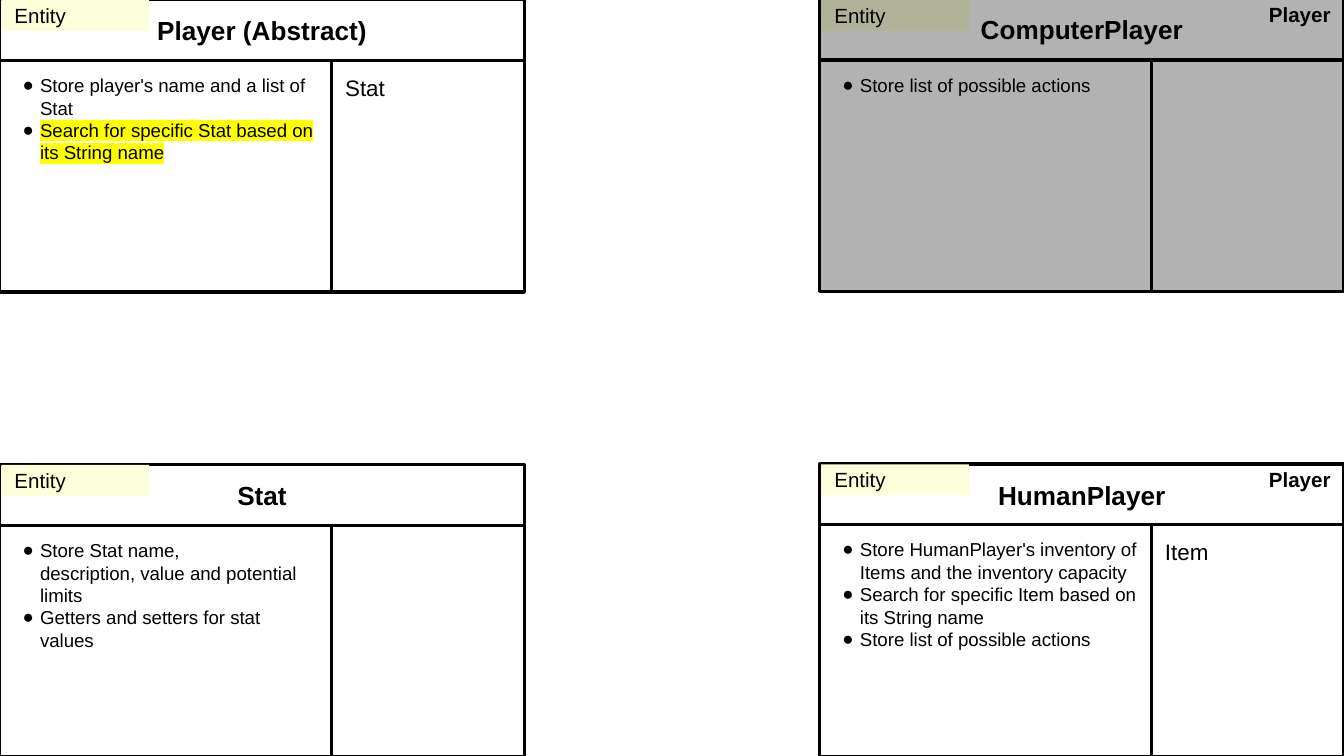
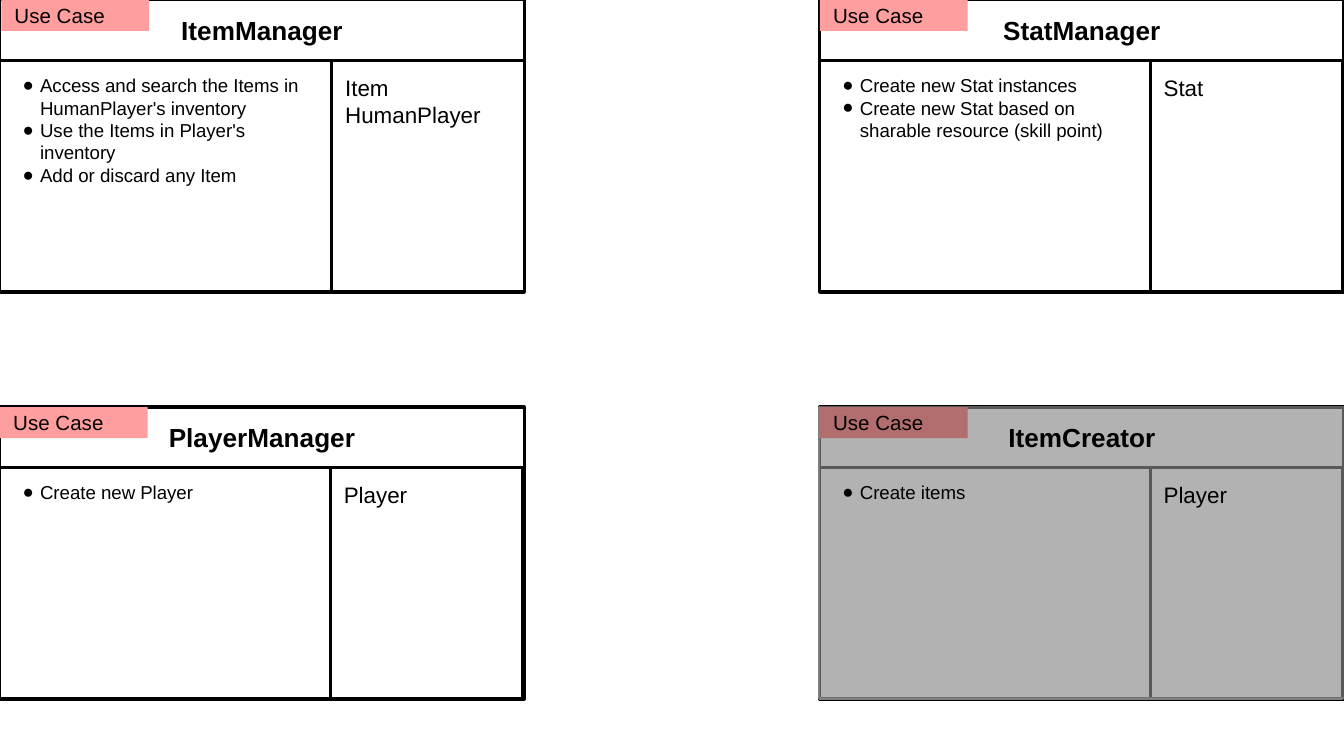
from lxml.etree import SubElement
from pptx import Presentation
from pptx.dml.color import RGBColor
from pptx.enum.shapes import MSO_SHAPE as Preset
from pptx.enum.text import MSO_ANCHOR as Anchor, PP_ALIGN as Align
from pptx.oxml.ns import qn
from pptx.util import Inches, Pt

COLOURS = {
    "paper": "FFFFFF",
    "ink": "000000",
    "muted": "808080",
    "marker": "FFFF00",
    "Entity": "FCFFD9",
    "Use Case": "FF9E9E",
}
FONT = "Arial"
NO_BREAK = chr(160)

SLIDE_W = 10
SLIDE_H = SLIDE_W * 9 / 16
CARD_W, CARD_H = 3.9, 2.17
HEAD_H = 0.45
DUTIES_W, PARTNERS_W = 2.46, 1.43
TAG_W, TAG_H = 1.1, 0.23
MARGIN = 0.1
RIGHT = SLIDE_W - CARD_W
BOTTOM = SLIDE_H - CARD_H

# Cards of class, responsibilities and collaborators, by slide.
# "at" is the left top corner; "veil" is the corner of the shade over a dropped class;
# "inset" moves the tag and the partners column to the right.
SLIDES = [
    ("Entity", [
        {"at": (0, 0), "name": "Player (Abstract)", "inset": 0.01,
         "duties": ["Store player's name and a list of Stat",
                    "Search for specific Stat based on its String name"],
         "marked": 1,
         "partners": ["Stat"]},
        {"at": (0, 3.46), "name": "Stat", "inset": 0.01,
         "duties": [f"Store Stat name, description,{NO_BREAK}value and potential limits",
                    "Getters and setters for stat values"]},
        {"at": (RIGHT, BOTTOM), "name": "HumanPlayer", "parent": "Player", "inset": 0.01,
         "duties": ["Store HumanPlayer's inventory of Items and the inventory capacity",
                    "Search for specific Item based on its String name",
                    "Store list of possible actions"],
         "partners": ["Item"]},
        {"at": (RIGHT, -0.01), "name": "ComputerPlayer", "parent": "Player", "inset": 0.01,
         "duties": ["Store list of possible actions"],
         "veil": (RIGHT + 0.01, 0)},
    ]),
    ("Use Case", [
        {"at": (0, 0), "name": "ItemManager", "inset": 0.01,
         "duties": ["Access and search the Items in HumanPlayer's inventory",
                    "Use the Items in Player's inventory",
                    "Add or discard any Item"],
         "partners": ["Item", "HumanPlayer"]},
        {"at": (RIGHT, 0), "name": "StatManager",
         "duties": ["Create new Stat instances",
                    "Create new Stat based on sharable resource (skill point)"],
         "partners": ["Stat"]},
        {"at": (0, 3.03), "name": "PlayerManager",
         "duties": ["Create new Player"],
         "partners": ["Player"]},
        {"at": (RIGHT, 3.03), "name": "ItemCreator", "edge": "muted",
         "duties": ["Create items"],
         "partners": ["Player"],
         "veil": (RIGHT, 3.02)},
    ]),
]


def rgb(name):
    return RGBColor.from_string(COLOURS[name])


def add_box(parent, left, top, width, height, fill, edge=None, weight=1.5):
    box = parent.shapes.add_shape(
        Preset.RECTANGLE, *(Inches(v) for v in (left, top, width, height)))
    box.shadow.inherit = False
    box.fill.solid()
    box.fill.fore_color.rgb = rgb(fill)
    if edge:
        box.line.color.rgb = rgb(edge)
        box.line.width = Pt(weight)
    else:
        box.line.fill.background()
    return box


def write(box, lines, size, align=Align.LEFT, anchor=Anchor.MIDDLE, bold=False,
          bulleted=False, marked=None):
    frame = box.text_frame
    frame.word_wrap = True
    frame.vertical_anchor = anchor
    frame.margin_left = frame.margin_right = Inches(MARGIN)
    frame.margin_top = frame.margin_bottom = Inches(MARGIN)
    for i, line in enumerate(lines):
        paragraph = frame.add_paragraph() if i else frame.paragraphs[0]
        paragraph.alignment = align
        if bulleted:
            add_bullet(paragraph)
        run = paragraph.add_run()
        run.text = line
        run.font.name = FONT
        run.font.size = Pt(size)
        run.font.bold = bold
        run.font.color.rgb = rgb("ink")
        if i == marked:
            highlight(run)


def add_bullet(paragraph):
    props = paragraph._p.get_or_add_pPr()
    props.set("marL", str(Inches(0.2)))
    props.set("indent", str(Inches(-0.13)))
    colour = SubElement(props, qn("a:buClr"))
    SubElement(colour, qn("a:srgbClr"), val=COLOURS["ink"])
    SubElement(props, qn("a:buFont"), typeface=FONT)
    SubElement(props, qn("a:buChar"), char="●")


def highlight(run):
    props = run._r.get_or_add_rPr()
    marker = SubElement(props, qn("a:highlight"))
    SubElement(marker, qn("a:srgbClr"), val=COLOURS["marker"])
    props.find(qn("a:solidFill")).addnext(marker)


def add_card(slide, kind, card):
    left, top = card["at"]
    visible_top = max(top, 0)
    body_top, body_h = visible_top + HEAD_H, CARD_H - HEAD_H
    inset = card.get("inset", 0)
    duties_w = DUTIES_W + inset
    partners_left = left + duties_w
    edge = card.get("edge", "ink")
    group = slide.shapes.add_group_shape()

    add_box(group, left, top, CARD_W, CARD_H, "paper", "ink", 2.25)
    head = add_box(group, left, top, CARD_W, HEAD_H, "paper", edge)
    write(head, [card["name"]], 14, Align.CENTER, bold=True)

    if "parent" in card:
        parent = group.shapes.add_textbox(
            *(Inches(v) for v in (partners_left, top, PARTNERS_W, TAG_H)))
        write(parent, [card["parent"]], 11, Align.RIGHT, bold=True)

    duties = add_box(group, left, body_top, duties_w, body_h, "paper", edge)
    write(duties, card["duties"], 10, anchor=Anchor.TOP, bulleted=True,
          marked=card.get("marked"))

    partners = add_box(group, partners_left, body_top, PARTNERS_W, body_h, "paper", edge)
    write(partners, card.get("partners", []), 12, anchor=Anchor.TOP)

    tag = add_box(group, left + inset, visible_top, TAG_W, TAG_H, kind)
    write(tag, [kind], 11)


def add_veil(slide, corner):
    """Shade a whole card with 30 % black."""
    veil = add_box(slide, *corner, CARD_W, CARD_H, "ink")
    colour = veil.fill._xPr.find(qn("a:solidFill"))[0]
    SubElement(colour, qn("a:alpha"), val="30000")


def main():
    deck = Presentation()
    deck.slide_width, deck.slide_height = Inches(SLIDE_W), Inches(SLIDE_H)
    for kind, cards in SLIDES:
        slide = deck.slides.add_slide(deck.slide_layouts[6])
        for card in cards:
            add_card(slide, kind, card)
            if "veil" in card:
                add_veil(slide, card["veil"])
    deck.save("out.pptx")


if __name__ == "__main__":
    main()
